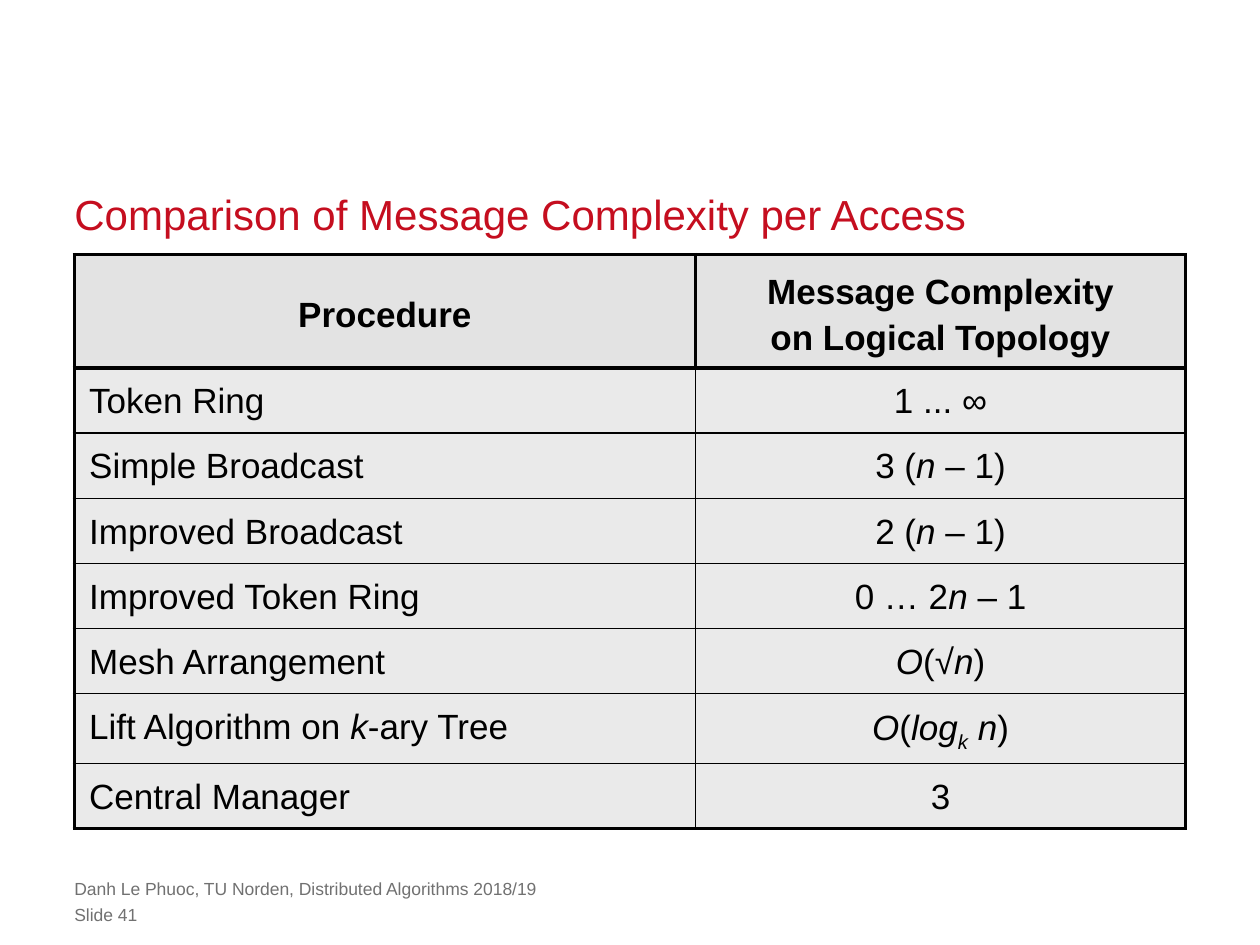
from lxml.etree import SubElement
from pptx import Presentation
from pptx.dml.color import RGBColor
from pptx.enum.text import MSO_ANCHOR, PP_ALIGN
from pptx.oxml.ns import qn
from pptx.util import Pt

COLORS = {"title": "C50E1F", "ink": "000000", "footer": "717171",
          "header": "E3E3E3", "body": "EAEAEA"}
FONT = "Arial"
LEFT = 42.5
THICK, THIN = 2.25, 1
HEADINGS = ("Procedure", "Message Complexity\non Logical Topology")
# *...* marks italics, _..._ marks a subscript
COMPLEXITIES = [
    ("Token Ring", "1 ... ∞"),
    ("Simple Broadcast", "3 (*n *– 1)"),
    ("Improved Broadcast", "2 (*n* – 1)"),
    ("Improved Token Ring", "0 … 2*n* – 1"),
    ("Mesh Arrangement", "*O*(√*n*)"),
    ("Lift Algorithm on *k*-ary Tree", "*O*(*log_k_ n*)"),
    ("Central Manager", "3"),
]


def write(frame, text, size, color, bold=False, align=PP_ALIGN.LEFT, spacing=None):
    """Write marked-up text into the first paragraph of a text frame."""
    paragraph = frame.paragraphs[0]
    paragraph.alignment = align
    paragraph.line_spacing = spacing
    for line_index, line in enumerate(text.split("\n")):
        if line_index:
            paragraph.add_line_break()
        for i, part in enumerate(line.split("*")):
            for j, piece in enumerate(part.split("_")):
                if not piece:
                    continue
                run = paragraph.add_run()
                run.text = piece
                run.font.name, run.font.size = FONT, Pt(size)
                run.font.bold, run.font.italic = bold, i % 2 == 1
                run.font.color.rgb = RGBColor.from_string(COLORS[color])
                if j % 2:
                    run.font._element.set("baseline", "-25000")


def set_borders(cell, widths):
    """Give a cell its left, right, top and bottom lines."""
    properties = cell._tc.get_or_add_tcPr()
    for side, width in zip("LRTB", widths):
        line = SubElement(properties, qn(f"a:ln{side}"), w=str(Pt(width)))
        fill = SubElement(line, qn("a:solidFill"))
        SubElement(fill, qn("a:srgbClr"), val=COLORS["ink"])


class Deck:
    """Holds the presentation and the current slide."""

    def __init__(self, width, height):
        """Open a presentation with one blank slide."""
        self.presentation = Presentation()
        self.presentation.slide_width = Pt(width)
        self.presentation.slide_height = Pt(height)
        self.slide = self.presentation.slides.add_slide(self.presentation.slide_layouts[6])

    def text(self, text, box, anchor=MSO_ANCHOR.TOP, **style):
        """Add a text box without margins."""
        frame = self.slide.shapes.add_textbox(*map(Pt, box)).text_frame
        frame.word_wrap = True
        frame.vertical_anchor = anchor
        frame.margin_left = frame.margin_right = frame.margin_top = frame.margin_bottom = 0
        write(frame, text, **style)

    def table(self, rows, left, top, widths, heights):
        """Add a table with a heading row and a thick outline."""
        table = self.slide.shapes.add_table(
            len(rows), len(widths), Pt(left), Pt(top),
            Pt(sum(widths)), Pt(sum(heights))).table
        table.first_row = table.horz_banding = False
        for column, width in zip(table.columns, widths):
            column.width = Pt(width)
        for r, (row, height) in enumerate(zip(rows, heights)):
            table.rows[r].height = Pt(height)
            for c, content in enumerate(row):
                self.cell(table.cell(r, c), content, heading=r == 0, lines=(
                    THICK if r == 0 or c == 0 else THIN,
                    THICK if r == 0 or c == len(row) - 1 else THIN,
                    THICK if r < 2 else THIN,
                    THICK if r in (0, len(rows) - 1) else THIN))

    def cell(self, cell, content, heading, lines):
        """Fill and format one table cell."""
        first_column = cell._tc.col_idx == 0
        cell.margin_left = cell.margin_right = Pt(8.5)
        cell.margin_top = cell.margin_bottom = Pt(3.6)
        cell.vertical_anchor = MSO_ANCHOR.MIDDLE if heading else MSO_ANCHOR.TOP
        set_borders(cell, lines)
        cell.fill.solid()
        cell.fill.fore_color.rgb = RGBColor.from_string(COLORS["header" if heading else "body"])
        write(cell.text_frame, content, size=20, color="ink", bold=heading, spacing=1.2,
              align=PP_ALIGN.LEFT if first_column and not heading else PP_ALIGN.CENTER)


def main():
    """Build the slide and save it."""
    deck = Deck(720, 540)
    deck.text("Comparison of Message Complexity per Access", (LEFT, 106.5, 635, 30),
              MSO_ANCHOR.BOTTOM, size=24, color="title", spacing=Pt(30))
    deck.table([HEADINGS, *COMPLEXITIES], LEFT, 145.5, (355, 280),
               [60.5] + [37.2] * len(COMPLEXITIES))
    footer = ("Danh Le Phuoc, TU Norden, Distributed Algorithms 2018/19", "Slide 41")
    for index, line in enumerate(footer):
        deck.text(line, (LEFT, 502 + 14.5 * index, 521, 12), size=10, color="footer")
    deck.presentation.save("out.pptx")


main()
